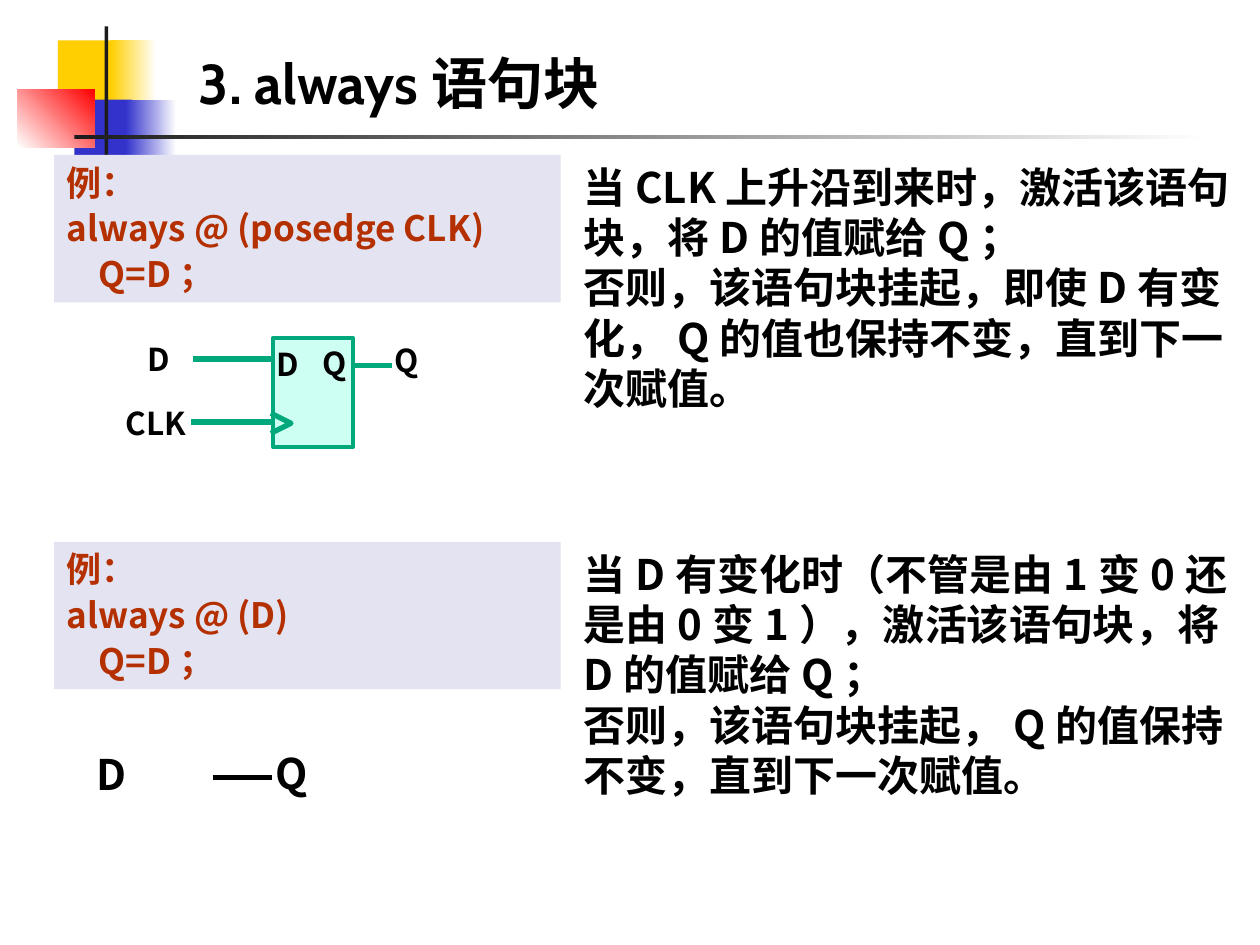
from lxml.etree import SubElement
from pptx import Presentation
from pptx.dml.color import RGBColor
from pptx.enum.shapes import MSO_CONNECTOR as Link, MSO_SHAPE as Kind
from pptx.enum.text import MSO_ANCHOR as Anchor
from pptx.oxml.ns import qn
from pptx.util import Inches, Pt

GOLD = RGBColor(0xFF, 0xCF, 0x01)
BLUE = RGBColor(0x33, 0x33, 0xCC)
RED = RGBColor(0xFF, 0x00, 0x00)
WHITE = RGBColor(0xFF, 0xFF, 0xFF)
DARK = RGBColor(0x1C, 0x1C, 0x1C)
BLACK = RGBColor(0x00, 0x00, 0x00)
RUST = RGBColor(0xB4, 0x30, 0x00)
PALE = RGBColor(0xE3, 0xE3, 0xF1)
MINT = RGBColor(0xCD, 0xFF, 0xF2)
GREEN = RGBColor(0x00, 0xA8, 0x7C)
SANS = "Noto Sans CJK SC"

deck = Presentation()
deck.slide_width, deck.slide_height = Inches(10), Inches(7.5)
COL = deck.slide_width / 100
ROW = deck.slide_height / 75
slide = deck.slides.add_slide(deck.slide_layouts[6])
shapes = slide.shapes


def add_rect(x, y, w, h, fill, end=None, turn=0):
    rect = shapes.add_shape(Kind.RECTANGLE, int(x * COL), int(y * ROW), int(w * COL), int(h * ROW))
    rect.shadow.inherit = False
    rect.line.fill.background()
    if end is None:
        rect.fill.solid()
        rect.fill.fore_color.rgb = fill
    else:
        rect.fill.gradient()
        rect.fill.gradient_angle = turn
        for stop, tone in zip(rect.fill.gradient_stops, (fill, end)):
            stop.color.rgb = tone
    return rect


def add_text(home, x, y, w, h, lines, size, color=BLACK, face=SANS, wrap=True, gap=0):
    box = home.add_textbox(int(x * COL), int(y * ROW), int(w * COL), int(h * ROW))
    frame = box.text_frame
    frame.word_wrap = wrap
    frame.text = "\n".join(lines)
    for i, para in enumerate(frame.paragraphs):
        font = para.font
        font.size, font.bold, font.name = Pt(size), True, face
        font.color.rgb = color
        props = para._p.pPr.find(qn("a:defRPr"))
        SubElement(props, qn("a:ea")).set("typeface", SANS)
        if i and gap:
            para.space_before = Pt(gap)
    return frame


for x, y, w, h, fill, end, turn in [
    (4.6, 3.2, 4.8, 5.2, GOLD, None, 0),
    (8.8, 3.2, 3.6, 5.2, GOLD, WHITE, 0),
    (5.9, 7.9, 4.6, 5.2, BLUE, None, 0),
    (10, 7.9, 4, 5.2, BLUE, WHITE, 0),
    (1.4, 7.1, 6.1, 4.6, WHITE, RED, 45),
    (8.3, 2.1, 0.3, 11.5, DARK, None, 0),
    (5.9, 10.7, 90, 0.3, DARK, WHITE, 0),
]:
    add_rect(x, y, w, h, fill, end, turn)

for top, event, notes in [
    (12.3, "posedge CLK", ["当CLK上升沿到来时，激活该语句块，将D的值赋给Q；",
                           "否则，该语句块挂起，即使D有变化，Q的值也保持不变，直到下一次赋值。"]),
    (43, "D", ["当D有变化时（不管是由1变0还是由0变1），激活该语句块，将D的值赋给Q；",
               "否则，该语句块挂起，Q的值保持不变，直到下一次赋值。"]),
]:
    add_rect(4.3, top, 40.2, 11.7, PALE)
    code = ["例：", f"always @ ({event})", "    Q=D；"]
    add_text(shapes, 4.3, top, 40.2, 11.7, code, 20, RUST, gap=2)
    add_text(shapes, 45.3, top, 54.7, 21.2, notes, 24)

latch = add_rect(21.7, 26.8, 6.3, 8.7, MINT)
latch.line.color.rgb = GREEN
latch.line.width = Pt(2.25)

path = shapes.build_freeform(int(21.5 * COL), int(32.8 * ROW))
path.add_line_segments([(int(23.1 * COL), int(33.6 * ROW)), (int(21.5 * COL), int(34.4 * ROW))], close=False)
clock = path.convert_to_shape()
clock.shadow.inherit = False
clock.fill.background()
clock.line.color.rgb = GREEN
clock.line.width = Pt(3)

pair = shapes.add_group_shape().shapes
for home, x, end, y, color in [
    (shapes, 28, 31.1, 29, GREEN),
    (shapes, 15.3, 21.6, 28.5, GREEN),
    (shapes, 15.2, 21.5, 33.5, GREEN),
    (pair, 16.9, 21.6, 61.7, BLACK),
]:
    wire = home.add_connector(Link.STRAIGHT, int(x * COL), int(y * ROW), int(end * COL), int(y * ROW))
    wire.line.color.rgb = color
    wire.line.width = Pt(3)
    SubElement(wire._element.spPr, qn("a:effectLst"))

for home, x, y, w, h, word, size in [
    (shapes, 10.7, 26.5, 3.3, 4, "D", 18),
    (shapes, 30.3, 26.6, 3.3, 4, "Q", 18),
    (shapes, 21, 26.9, 3.3, 4, "D", 18),
    (shapes, 24.6, 26.8, 3.3, 4, "Q", 18),
    (shapes, 9, 31.6, 10.5, 4, "CLK", 18),
    (pair, 6.7, 58.9, 3.7, 5.1, "D", 24),
    (pair, 20.9, 58.8, 3.7, 5.1, "Q", 24),
]:
    add_text(home, x, y, w, h, [word], size, wrap=word == "CLK")

title = add_text(shapes, 14.8, 2.1, 85.2, 7.6, ["3. always语句块"], 32, face="Cabin")
title.vertical_anchor = Anchor.BOTTOM

deck.save("out.pptx")
